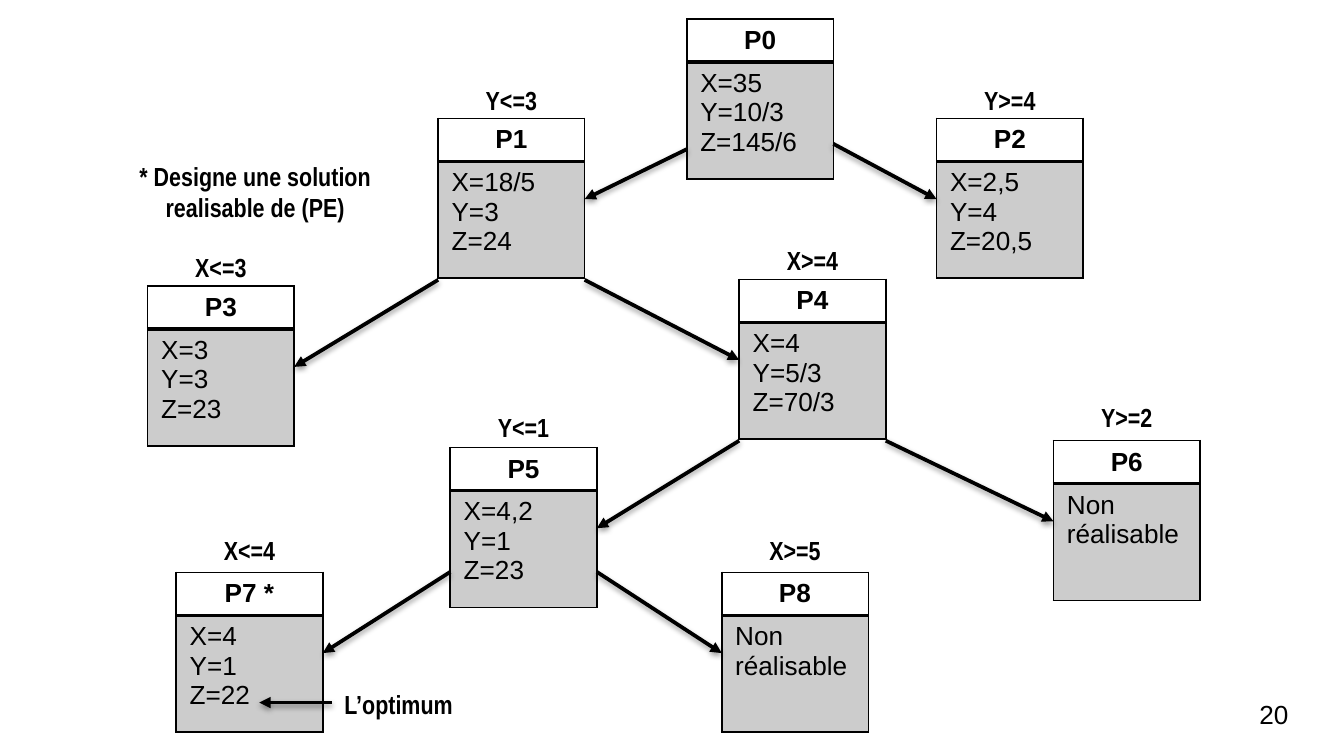
from lxml import etree
from pptx import Presentation
from pptx import util as u
from pptx.dml import color
from pptx.enum import shapes, text
from pptx.oxml import ns

BLACK = "000000"
NODE_W, NODE_H = 2.77, 3.05
LABEL_W, LABEL_H = 3.43, 0.86

NO = ["Non réalisable"]
NODES = {
    "P0": (12.98, 0.36, "", 0, ["X=35", "Y=10/3", "Z=145/6"]),
    "P1": (8.28, 2.24, "Y<=3", 0.76, ["X=18/5", "Y=3", "Z=24"]),
    "P2": (17.7, 2.24, "Y>=4", 0.76, ["X=2,5", "Y=4", "Z=20,5"]),
    "P3": (2.79, 5.41, "X<=3", 0.79, ["X=3", "Y=3", "Z=23"]),
    "P4": (13.97, 5.28, "X>=4", 0.79, ["X=4", "Y=5/3", "Z=70/3"]),
    "P6": (19.91, 8.33, "Y>=2", 0.86, NO),
    "P5": (8.51, 8.46, "Y<=1", 0.81, ["X=4,2", "Y=1", "Z=23"]),
    "P8": (13.64, 10.82, "X>=5", 0.84, NO),
    "P7 *": (3.33, 10.82, "X<=4", 0.84, ["X=4", "Y=1", "Z=22"]),
}
BRANCHES = [
    ("P1", "P3", NODE_H), ("P1", "P4", NODE_H),
    ("P4", "P5", NODE_H), ("P4", "P6", NODE_H),
    ("P5", "P7 *", 2.35), ("P5", "P8", 2.35),
    ("P0", "P1", 2.46), ("P0", "P2", 2.36),
]


def rgb(value):
    return color.RGBColor.from_string(value)


def sub(parent, tag, **attrs):
    return etree.SubElement(parent, ns.qn(tag), attrs)


def add_run(p, words, font="Arial", bold=False):
    r = p.add_run()
    r.text = words
    r.font.size = u.Pt(14)
    r.font.name = font
    r.font.bold = bold
    r.font.color.rgb = rgb(BLACK)


def set_borders(cell, widths):
    tcPr = cell._tc.get_or_add_tcPr()
    for side, width in zip("LRTB", widths):
        ln = sub(tcPr, "a:ln" + side, w=str(u.Pt(width)))
        sub(sub(ln, "a:solidFill"), "a:srgbClr", val=BLACK)


def add_node(s, x, y, name, values):
    tbl = s.shapes.add_table(2, 1, u.Cm(x), u.Cm(y), u.Cm(NODE_W), u.Cm(NODE_H)).table
    tbl.first_row = tbl.horz_banding = False
    tbl.rows[0].height, tbl.rows[1].height = u.Cm(0.69), u.Cm(2.21)
    head, body = tbl.cell(0, 0), tbl.cell(1, 0)
    set_borders(head, (1, 1, 1, 2))
    set_borders(body, (1, 1, 2, 1))
    head.fill.background()
    body.fill.solid()
    body.fill.fore_color.rgb = rgb(BLACK)
    for clr in body._tc.tcPr.findall(ns.qn("a:solidFill") + "/" + ns.qn("a:srgbClr")):
        sub(clr, "a:alpha", val="20000")
    p = head.text_frame.paragraphs[0]
    p.alignment = text.PP_ALIGN.CENTER
    add_run(p, name, bold=True)
    tf = body.text_frame
    for i, value in enumerate(values):
        add_run(tf.add_paragraph() if i else tf.paragraphs[0], value)


def add_arrow(s, x1, y1, x2, y2):
    sp = s.shapes.add_connector(shapes.MSO_CONNECTOR.STRAIGHT,
                                u.Cm(x1), u.Cm(y1), u.Cm(x2), u.Cm(y2))
    sp.line.width = u.Pt(2)
    sp.line.color.rgb = rgb(BLACK)
    sub(sp.line._get_or_add_ln(), "a:tailEnd", type="triangle")
    shadow = sub(sub(sp._element.spPr, "a:effectLst"), "a:outerShdw",
                 blurRad=str(u.Pt(3.1)), dist=str(u.Pt(1.6)), dir="5400000", rotWithShape="0")
    sub(sub(shadow, "a:srgbClr", val=BLACK), "a:alpha", val="38000")


def add_branch(s, parent, child, depth):
    px, py = NODES[parent][:2]
    cx, cy = NODES[child][:2]
    rightward = cx > px
    add_arrow(s, px + NODE_W * rightward, py + depth,
              cx + NODE_W * (not rightward), cy + NODE_H / 2)


def add_label(s, x, y, w, h, words):
    tf = s.shapes.add_textbox(u.Cm(x), u.Cm(y), u.Cm(w), u.Cm(h)).text_frame
    tf.word_wrap = True
    p = tf.paragraphs[0]
    p.alignment = text.PP_ALIGN.CENTER
    add_run(p, words, "Arial Narrow", True)


def add_page_number(s, x, y, w, h):
    tf = s.shapes.add_textbox(u.Cm(x), u.Cm(y), u.Cm(w), u.Cm(h)).text_frame
    tf.word_wrap = True
    tf.vertical_anchor = text.MSO_ANCHOR.MIDDLE
    tf.margin_left = tf.margin_right = tf.margin_top = tf.margin_bottom = u.Cm(0.25)
    add_run(tf.paragraphs[0], "20")


def main():
    prs = Presentation()
    prs.slide_width, prs.slide_height = u.Cm(25.4), u.Cm(14.29)
    s = prs.slides.add_slide(prs.slide_layouts[6])
    for name, (x, y, _, _, values) in NODES.items():
        add_node(s, x, y, name, values)
    for branch in BRANCHES:
        add_branch(s, *branch)
    for x, y, label, rise, _ in NODES.values():
        if label:
            add_label(s, x + (NODE_W - LABEL_W) / 2, y - rise, LABEL_W, LABEL_H, label)
    add_label(s, 5.82, 12.88, LABEL_W, LABEL_H, "L’optimum")
    add_arrow(s, 6.27, 13.28, 4.9, 13.28)
    add_label(s, 1.75, 2.9, 6.15, 1.45, "* Designe une solution realisable de (PE)")
    add_page_number(s, 23.55, 12.95, 1.52, 1.09)
    prs.save("out.pptx")


if __name__ == "__main__":
    main()
